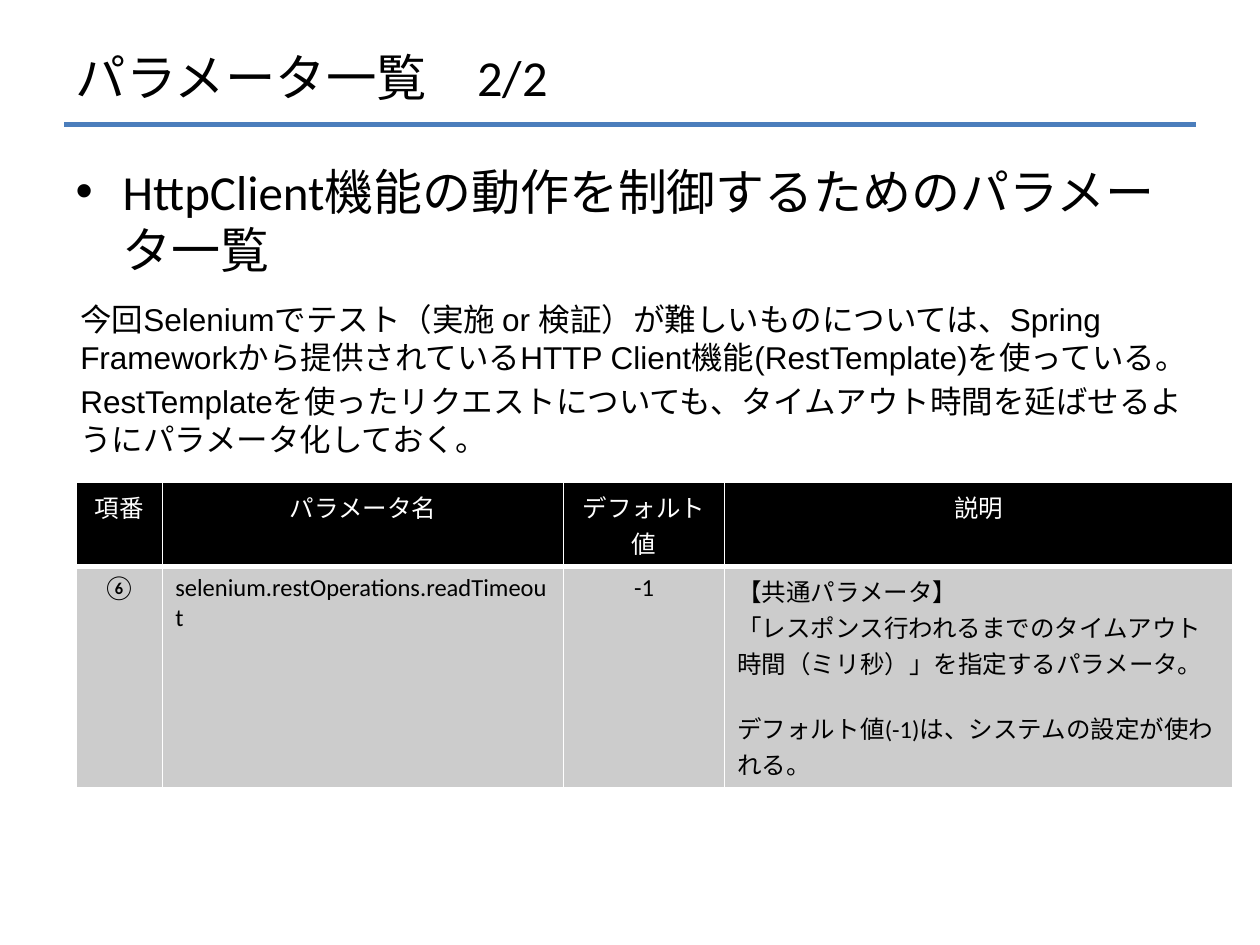
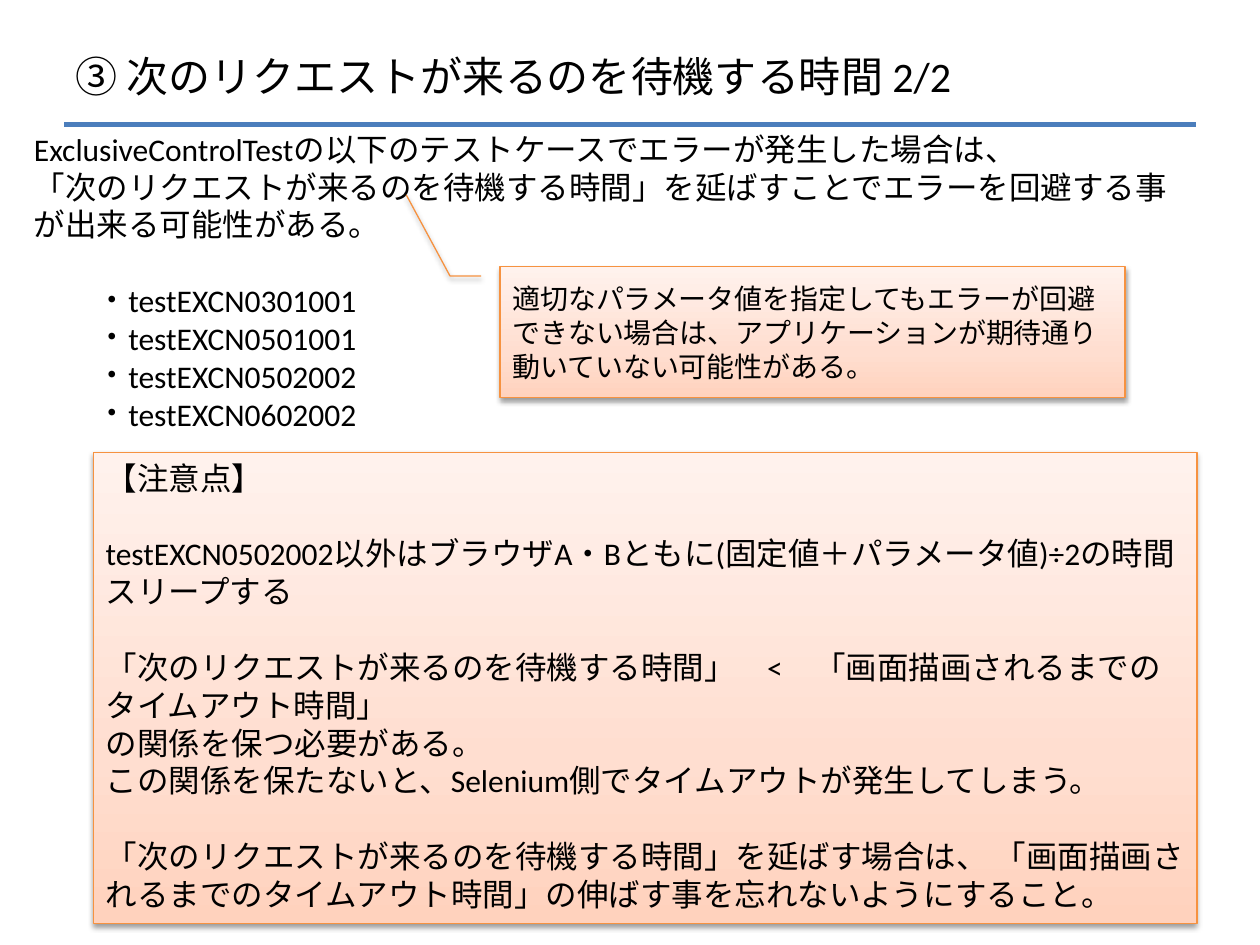
from copy import deepcopy
from dataclasses import dataclass

from lxml import etree
from pptx import Presentation
from pptx.dml.color import RGBColor
from pptx.enum.shapes import MSO_CONNECTOR, MSO_SHAPE
from pptx.enum.text import MSO_ANCHOR, MSO_AUTO_SIZE, PP_ALIGN
from pptx.oxml.ns import qn
from pptx.util import Cm, Pt

LEFT, CENTER = PP_ALIGN.LEFT, PP_ALIGN.CENTER
TOP, MIDDLE = MSO_ANCHOR.TOP, MSO_ANCHOR.MIDDLE
NO_AUTOFIT = MSO_AUTO_SIZE.NONE
STRAIGHT = MSO_CONNECTOR.STRAIGHT
RECTANGLE, CALLOUT = MSO_SHAPE.RECTANGLE, MSO_SHAPE.LINE_CALLOUT_2
TITLE_AND_CONTENT = 1


@dataclass(frozen=True)
class Theme:
    font: str = "Calibri"
    plain_font: str = "Arial"
    ink: str = "000000"
    paper: str = "FFFFFF"
    rule: str = "4B7EBC"
    row: str = "CCCCCC"
    panel_line: str = "F69240"
    panel_stops: tuple = ((0, "FFD2BD"), (0.35, "FFDED0"), (1, "FFF2ED"))
    title_size: float = 28.8
    long_title_size: float = 24
    lead_size: float = 28
    text_size: float = 18
    callout_size: float = 16
    table_size: float = 14
    text_gap: float = 21.7   # one line of text_size
    table_gap: float = 17    # one line of table_size


THEME = Theme()


def rgb(value):
    return RGBColor.from_string(value)


def add_text(frame, text, size=THEME.text_size, font=THEME.font, color=THEME.ink,
             align=LEFT, before=0, bullet=None, margin=0, hanging=0):
    """Write text as the next paragraph of the frame."""
    paragraph = frame.paragraphs[0]
    if paragraph.runs:
        paragraph = frame.add_paragraph()
    paragraph.alignment = align
    paragraph.space_before = Pt(before)
    run = paragraph.add_run()
    run.text = text
    run.font.size = Pt(size)
    run.font.name = font
    run.font.bold = False
    run.font.color.rgb = rgb(color)

    # Indent and bullet
    properties = paragraph._p.get_or_add_pPr()
    properties.set("marL", str(Cm(margin)))
    properties.set("indent", str(-Cm(hanging)))
    if bullet:
        etree.SubElement(properties, qn("a:buChar"), char=bullet)
    else:
        etree.SubElement(properties, qn("a:buNone"))


def set_borders(cell, color, bottom_width):
    properties = cell._tc.get_or_add_tcPr()
    sides = (("L", 1), ("R", 1), ("T", 1), ("B", bottom_width))
    for position, (side, width) in enumerate(sides):
        line = etree.Element(qn(f"a:ln{side}"), w=str(Pt(width)))
        fill = etree.SubElement(line, qn("a:solidFill"))
        etree.SubElement(fill, qn("a:srgbClr"), val=color)
        properties.insert(position, line)


class SlideBuilder:
    def __init__(self, presentation, theme):
        self.presentation = presentation
        self.theme = theme
        self.slide = None

    def new_slide(self, title, size):
        """Start a slide with its title and the rule below it."""
        layout = self.presentation.slide_layouts[TITLE_AND_CONTENT]
        self.slide = self.presentation.slides.add_slide(layout)
        frame = self.place(self.slide.shapes.title, 1.27, 0.76, 22.86, 1.55)
        frame.vertical_anchor = MIDDLE
        add_text(frame, title, size=size)

        rule = self.slide.shapes.add_connector(
            STRAIGHT, Cm(1.3), Cm(2.51), Cm(24.1), Cm(2.51))
        rule.line.color.rgb = rgb(self.theme.rule)
        rule.line.width = Pt(2.5)
        etree.SubElement(rule._element.spPr, qn("a:effectLst"))

    def place(self, shape, left, top, width, height):
        shape.left, shape.top = Cm(left), Cm(top)
        shape.width, shape.height = Cm(width), Cm(height)
        frame = shape.text_frame
        frame.word_wrap = True
        frame.auto_size = NO_AUTOFIT
        return frame

    def body(self, *box):
        return self.place(self.slide.placeholders[1], *box)

    def text_box(self, *box):
        shape = self.slide.shapes.add_textbox(0, 0, 0, 0)
        return self.place(shape, *box)

    def panel(self, kind, *box, anchor=TOP, adjustments=()):
        """Add a shaded panel with a soft shadow."""
        shape = self.slide.shapes.add_shape(kind, 0, 0, 0, 0)
        frame = self.place(shape, *box)
        frame.vertical_anchor = anchor
        for index, value in enumerate(adjustments):
            shape.adjustments[index] = value
        shape.line.color.rgb = rgb(self.theme.panel_line)
        shape.line.width = Pt(0.75)

        # Three-stop gradient, running upwards
        shape.fill.gradient()
        shape.fill.gradient_angle = 90
        properties = shape._element.spPr
        stop_list = properties.find(".//" + qn("a:gsLst"))
        stop_list.append(deepcopy(stop_list[-1]))
        for stop, (position, color) in zip(shape.fill.gradient_stops,
                                           self.theme.panel_stops):
            stop.position = position
            stop.color.rgb = rgb(color)

        # Shadow straight below
        shape.shadow.inherit = False
        shadow = etree.SubElement(
            properties.find(qn("a:effectLst")), qn("a:outerShdw"),
            blurRad=str(Pt(3.1)), dist=str(Pt(1.6)), dir="5400000", rotWithShape="0")
        color = etree.SubElement(shadow, qn("a:srgbClr"), val=self.theme.ink)
        etree.SubElement(color, qn("a:alpha"), val="38000")
        return frame

    def table(self, left, top, widths, row_height, rows, centered_columns):
        """Rows hold cells; a cell is a list of (text, space before)."""
        theme = self.theme
        table = self.slide.shapes.add_table(
            len(rows), len(widths), Cm(left), Cm(top),
            Cm(sum(widths)), Cm(row_height * len(rows))).table
        table.horz_banding = False
        for column, width in zip(table.columns, widths):
            column.width = Cm(width)
        for row_index, row in enumerate(rows):
            header = row_index == 0
            for column_index, lines in enumerate(row):
                cell = table.cell(row_index, column_index)
                centered = header or column_index in centered_columns
                cell.fill.solid()
                cell.fill.fore_color.rgb = rgb(theme.ink if header else theme.row)
                set_borders(cell, theme.paper, 3 if header else 1)
                for text, before in lines:
                    add_text(cell.text_frame, text, size=theme.table_size,
                             color=theme.paper if header else theme.ink,
                             align=CENTER if centered else LEFT, before=before)


def build_parameter_list(builder):
    theme = builder.theme
    builder.new_slide("パラメータ一覧　2/2", theme.title_size)
    add_text(builder.body(1.27, 3.12, 22.86, 12.57),
             "HttpClient機能の動作を制御するためのパラメータ一覧",
             size=theme.lead_size, before=5.6, bullet="•", margin=0.95, hanging=0.95)

    # Parameter table
    header = [[(name, 0)] for name in ("項番", "パラメータ名", "デフォルト値", "説明")]
    read_timeout = [
        [("⑥", 0)],
        [("selenium.restOperations.readTimeout", 0)],
        [("-1", 0)],
        [("【共通パラメータ】", 0),
         ("「レスポンス行われるまでのタイムアウト時間（ミリ秒）」を指定するパラメータ。", 0),
         ("デフォルト値(-1)は、システムの設定が使われる。", theme.table_gap)],
    ]
    builder.table(1.53, 9.73, (1.75, 8.08, 3.25, 10.24), 1.04,
                  [header, read_timeout], centered_columns=(0, 2))

    # Explanation
    explanation = builder.text_box(1.37, 5.92, 23.34, 3.63)
    for text in (
        "今回Seleniumでテスト（実施 or 検証）が難しいものについては、Spring Framework"
        "から提供されているHTTP Client機能(RestTemplate)を使っている。",
        "RestTemplateを使ったリクエストについても、タイムアウト時間を延ばせるように"
        "パラメータ化しておく。",
    ):
        add_text(explanation, text, font=theme.plain_font, before=3.6)


def build_waiting_time(builder):
    theme = builder.theme
    builder.new_slide("③ 次のリクエストが来るのを待機する時間 2/2", theme.long_title_size)

    # Affected test cases
    body = builder.body(0.43, 2.49, 23.67, 6.4)
    add_text(body, "ExclusiveControlTestの以下のテストケースでエラーが発生した場合は、")
    add_text(body, "「次のリクエストが来るのを待機する時間」を延ばすことで"
                   "エラーを回避する事が出来る可能性がある。")
    for index, number in enumerate(("0301001", "0501001", "0502002", "0602002")):
        add_text(body, f"testEXCN{number}", before=0 if index else theme.text_gap,
                 bullet="・", margin=1.78, hanging=0.51)

    # Callout
    callout = builder.panel(CALLOUT, 10.08, 5.38, 12.6, 2.64, anchor=MIDDLE,
                            adjustments=(0.07, -0.03, 0.07, -0.08, -0.55, -0.15))
    add_text(callout, "適切なパラメータ値を指定してもエラーが回避できない場合は、"
                      "アプリケーションが期待通り動いていない可能性がある。",
             size=theme.callout_size)

    # Points to note
    notes = builder.panel(RECTANGLE, 1.88, 9.12, 22.25, 9.5)
    gap = theme.text_gap
    for text, before in (
        ("【注意点】", 0),
        ("testEXCN0502002以外はブラウザA・Bともに(固定値＋パラメータ値)÷2の"
         "時間スリープする", gap),
        ("「次のリクエストが来るのを待機する時間」　<　"
         "「画面描画されるまでのタイムアウト時間」", gap),
        ("の関係を保つ必要がある。", 0),
        ("この関係を保たないと、Selenium側でタイムアウトが発生してしまう。", 0),
        ("「次のリクエストが来るのを待機する時間」を延ばす場合は、 "
         "「画面描画されるまでのタイムアウト時間」の伸ばす事を忘れないようにすること。", gap),
    ):
        add_text(notes, text, before=before)


def main():
    presentation = Presentation()
    presentation.slide_width, presentation.slide_height = Cm(25.4), Cm(19.05)
    builder = SlideBuilder(presentation, THEME)
    build_parameter_list(builder)
    build_waiting_time(builder)
    presentation.save("out.pptx")


if __name__ == "__main__":
    main()
